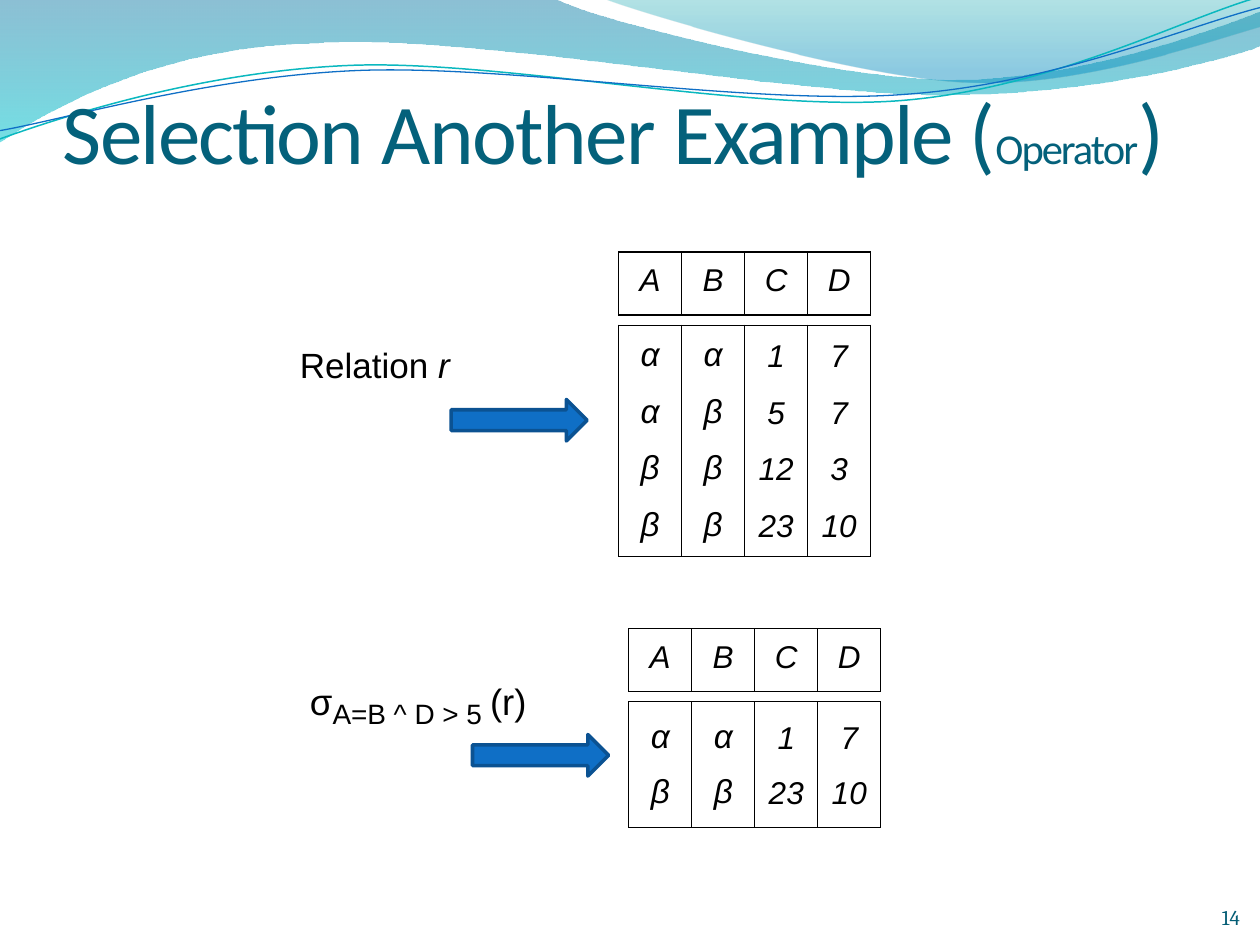
from dataclasses import dataclass
from math import cos, radians, sin
from pptx import Presentation
from pptx.dml.color import RGBColor as Rgb
from pptx.enum.shapes import MSO_SHAPE as Shape
from pptx.enum.text import MSO_ANCHOR as Anchor, PP_ALIGN as Align
from pptx.oxml import parse_xml
from pptx.oxml.ns import nsdecls, qn
from pptx.util import Inches, Pt


@dataclass(frozen=True)
class Theme:
    """Colours, fonts and type sizes of the slide."""
    ink: str = "000000"
    title: str = "04617B"
    number: str = "045D75"
    arrow: str = "0F6FC6"
    edge: str = "0B5292"
    teal: str = "0AB8BF"
    body: str = "Arial"
    head: str = "Calibri"
    foot: str = "Cambria"
    big: float = 48.6
    small: float = 24.3
    label: int = 20
    sigma: int = 36
    sub: int = 16
    cell: int = 18
    greek: int = 19
    note: int = 12


T = Theme()

WAVES = [
    ((-0.01, -0.01, 10.02, 1.14),
     [(0, 0), (4.4, -0.01), (4.76, 0.17, 6.64, 0.63, 7.58, 0.63),
      (8.53, 0.63, 9.58, 0.26, 10, 0.09), (10.01, 0.36),
      (9.83, 0.44, 8.7, 0.76, 7.46, 0.75), (6.22, 0.75, 3.82, 0.28, 2.57, 0.34),
      (1.29, 0.36, 0.46, 0.83, -0.01, 1.13), (0, 0)],
     [(0, "0074A1", 45), (1, "00C6CF", 55)]),
    ((4.79, -0.01, 5.21, 0.7),
     [(4.79, -0.01), (5.09, 0.11, 6.82, 0.62, 7.69, 0.65),
      (8.56, 0.69, 9.61, 0.32, 10, 0.21), (10, 0), (4.79, -0.01)],
     [(0, "00A1A9", 30), (0.8, "008BBF", 45)]),
]
LINES = [
    ((-0.02, 0.22, 10.02, 0.71),
     [(-0.02, 1.11), (0.48, 0.93, 1.58, 0.57, 2.77, 0.52),
      (3.95, 0.47, 5.93, 0.89, 7.13, 0.8), (8.33, 0.71, 9.38, 0.15, 9.98, -0.02)],
     T.teal, 0.85),
    ((-0.02, 0.3, 10.03, 0.58),
     [(-0.02, 1.04), (0.47, 0.96, 1.64, 0.61, 2.83, 0.56),
      (4.03, 0.51, 5.97, 0.84, 7.17, 0.75), (8.36, 0.67, 9.41, 0.21, 10, 0.06)],
     T.arrow, 0.75),
]


def write(frame, *runs, font=T.body, size=T.cell, color=T.ink, align=Align.LEFT,
          anchor=Anchor.TOP, top=0, wrap=True):
    """Fill a text frame or cell with runs, each a text and its own format."""
    for side in ("left", "right", "bottom"):
        setattr(frame, f"margin_{side}", 0)
    frame.margin_top = Inches(top)
    frame.vertical_anchor = anchor
    body = getattr(frame, "text_frame", frame)
    body.word_wrap = wrap
    para = body.paragraphs[0]
    para.alignment = align
    for text, look in runs:
        run = para.add_run()
        run.text = text
        run.font.name = font
        run.font.size = Pt(look.get("size", size))
        run.font.italic = look.get("italic", False)
        run.font.color.rgb = Rgb.from_string(color)
        for key in ("baseline", "spc"):
            if key in look:
                run.font._element.set(key, str(look[key]))


def text(slide, box, *runs, **look):
    """Add a text box."""
    write(slide.shapes.add_textbox(*map(Inches, box)).text_frame, *runs, **look)


def curve(slide, box, steps, close=False, tilt=0):
    """Trace straight steps and cubic curves in a box turned by some degrees."""
    left, top, wide, high = box
    mid, half, turn = left + wide / 2, top + high / 2, radians(-tilt)

    def level(x, y):
        """Undo the turn of a point."""
        x, y = x - mid, y - half
        return (Inches(mid + x * cos(turn) - y * sin(turn)),
                Inches(half + x * sin(turn) + y * cos(turn)))

    flat = [[level(*step[i:i + 2]) for i in range(0, len(step), 2)] for step in steps]
    pen = slide.shapes.build_freeform(*flat[0][0])
    pen.add_line_segments([dots[-1] for dots in flat[1:]], close=close)
    shape = pen.convert_to_shape()
    shape.left, shape.top, shape.width, shape.height = map(Inches, box)
    shape.rotation = tilt
    shape.shadow.inherit = False
    trace = next(shape._element.iter(qn("a:path")))
    trace.set("w", str(shape.width))
    trace.set("h", str(shape.height))
    for part, dots in zip(list(trace), flat):
        tag = "moveTo" if part.tag == qn("a:moveTo") else (
            "lnTo" if len(dots) == 1 else "cubicBezTo")
        marks = "".join(f'<a:pt x="{x - shape.left}" y="{y - shape.top}"/>'
                        for x, y in dots)
        trace.replace(part, parse_xml(f'<a:{tag} {nsdecls("a")}>{marks}</a:{tag}>'))
    return shape


def waves(slide):
    """Draw the banner of tinted waves and thin lines."""
    for box, steps, stops in WAVES:
        shape = curve(slide, box, steps, close=True)
        shape.line.fill.background()
        shape.fill.gradient()
        shape.fill.gradient_angle = 270
        for stop, (place, color, _) in zip(shape.fill.gradient_stops, stops):
            stop.position = place
            stop.color.rgb = Rgb.from_string(color)
        tints = shape._element.spPr.iter(qn("a:srgbClr"))
        for tint, (_, _, alpha) in zip(list(tints), stops):
            tint.append(parse_xml(f'<a:alpha {nsdecls("a")} val="{alpha * 1000}"/>'))
    for box, steps, color, width in LINES:
        shape = curve(slide, box, steps, tilt=-2.7)
        shape.fill.background()
        shape.line.color.rgb = Rgb.from_string(color)
        shape.line.width = Pt(width)


def border(cell, sides):
    """Rule the named sides of a cell and clear the others."""
    for i, side in enumerate("LRTB"):
        fill = (f'<a:solidFill><a:srgbClr val="{T.ink}"/></a:solidFill>'
                if side in sides else "<a:noFill/>")
        cell._tc.get_or_add_tcPr().insert(i, parse_xml(
            f'<a:ln{side} {nsdecls("a")} w="9525">{fill}</a:ln{side}>'))


def grid(slide, left, top, rows, highs, pad):
    """Add a table of half-inch columns without inner row rules."""
    table = slide.shapes.add_table(
        len(rows), len(rows[0]), Inches(left), Inches(top),
        Inches(len(rows[0]) / 2), Inches(sum(highs))).table
    table.first_row = table.horz_banding = False
    for col in table.columns:
        col.width = Inches(0.5)
    for r, (row, high) in enumerate(zip(rows, highs)):
        table.rows[r].height = Inches(high)
        for c, word in enumerate(row):
            cell = table.cell(r, c)
            cell.fill.background()
            border(cell, "LR" + "T" * (r == 0) + "B" * (r == len(rows) - 1))
            gap = (0.06 if r else pad) + (0.02 if word.isdigit() else 0)
            write(cell, (word, {"italic": True}), align=Align.CENTER, top=gap,
                  size=T.greek if word in "αβ" else T.cell)


def example(slide, left, top, label, spot, arrow, rows, highs, pad):
    """Place a label, an arrow and a headed relation from one corner."""
    drop, wide, high = spot
    text(slide, (left, top + drop, wide, high), *label, size=T.label, top=0.01,
         wrap=False)
    shape = slide.shapes.add_shape(Shape.RIGHT_ARROW, Inches(left + arrow[0]),
                                   Inches(top + arrow[1]), Inches(1.08), Inches(0.33))
    shape.shadow.inherit = False
    shape.fill.solid()
    shape.fill.fore_color.rgb = Rgb.from_string(T.arrow)
    shape.line.color.rgb = Rgb.from_string(T.edge)
    shape.line.width = Pt(2)
    grid(slide, left + 2.53, top, ["ABCD"], [0.5], 0.09)
    grid(slide, left + 2.53, top + 0.58, rows, highs, pad)


def main():
    """Build and save the slide."""
    deck = Presentation()
    deck.slide_width, deck.slide_height = Inches(10), Inches(7.5)
    slide = deck.slides.add_slide(deck.slide_layouts[6])
    waves(slide)
    text(slide, (0.5, 0.5, 9, 0.94),
         ("Selection", {"spc": -110}), (" Another ", {"spc": -90}),
         ("Example (", {"spc": -110}), ("Operator", {"spc": -110, "size": T.small}),
         (")", {"spc": -110}), font=T.head, size=T.big, color=T.title,
         anchor=Anchor.BOTTOM, top=0.05)
    example(slide, 2.38, 2, [("Relation ", {}), ("r", {"italic": True})],
            (0.72, 1.47, 0.36), (1.2, 1.17),
            [("α", "α", "1", "7"), ("α", "β", "5", "7"),
             ("β", "β", "12", "3"), ("β", "β", "23", "10")],
            [0.48, 0.45, 0.45, 0.46], 0.09)
    raised = {"size": T.sigma, "baseline": 14000}
    example(slide, 2.46, 4.99,
            [("σ", raised), ("A=B ^ D > 5 ", {"size": T.sub}), ("(r)", raised)],
            (0.25, 2.12, 0.43), (1.29, 0.84),
            [("α", "α", "1", "7"), ("β", "β", "23", "10")], [0.51, 0.49], 0.13)
    text(slide, (9.59, 7.15, 0.25, 0.23), ("14", {}), font=T.foot, size=T.note,
         color=T.number, align=Align.RIGHT, anchor=Anchor.BOTTOM)
    deck.save("out.pptx")


main()
